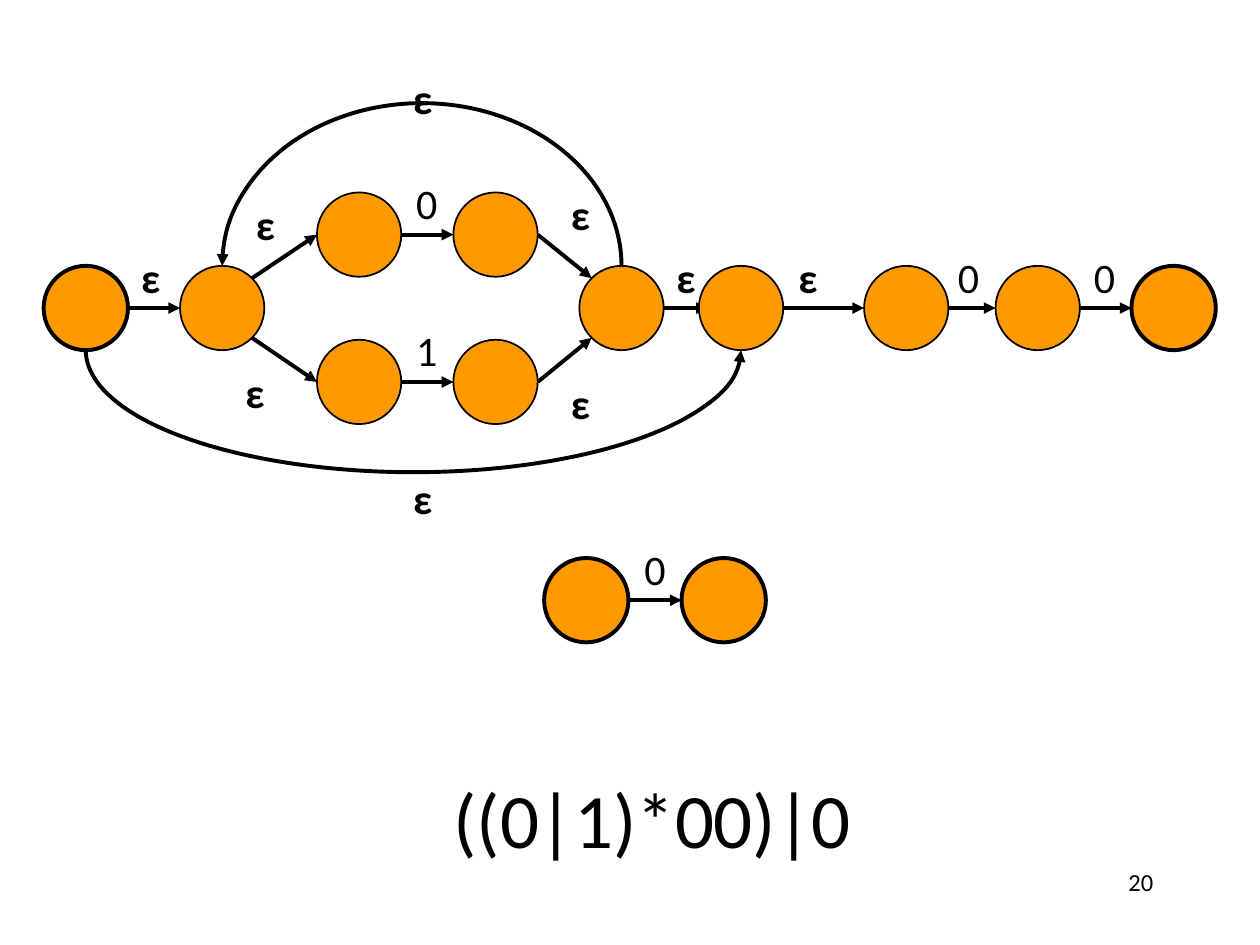
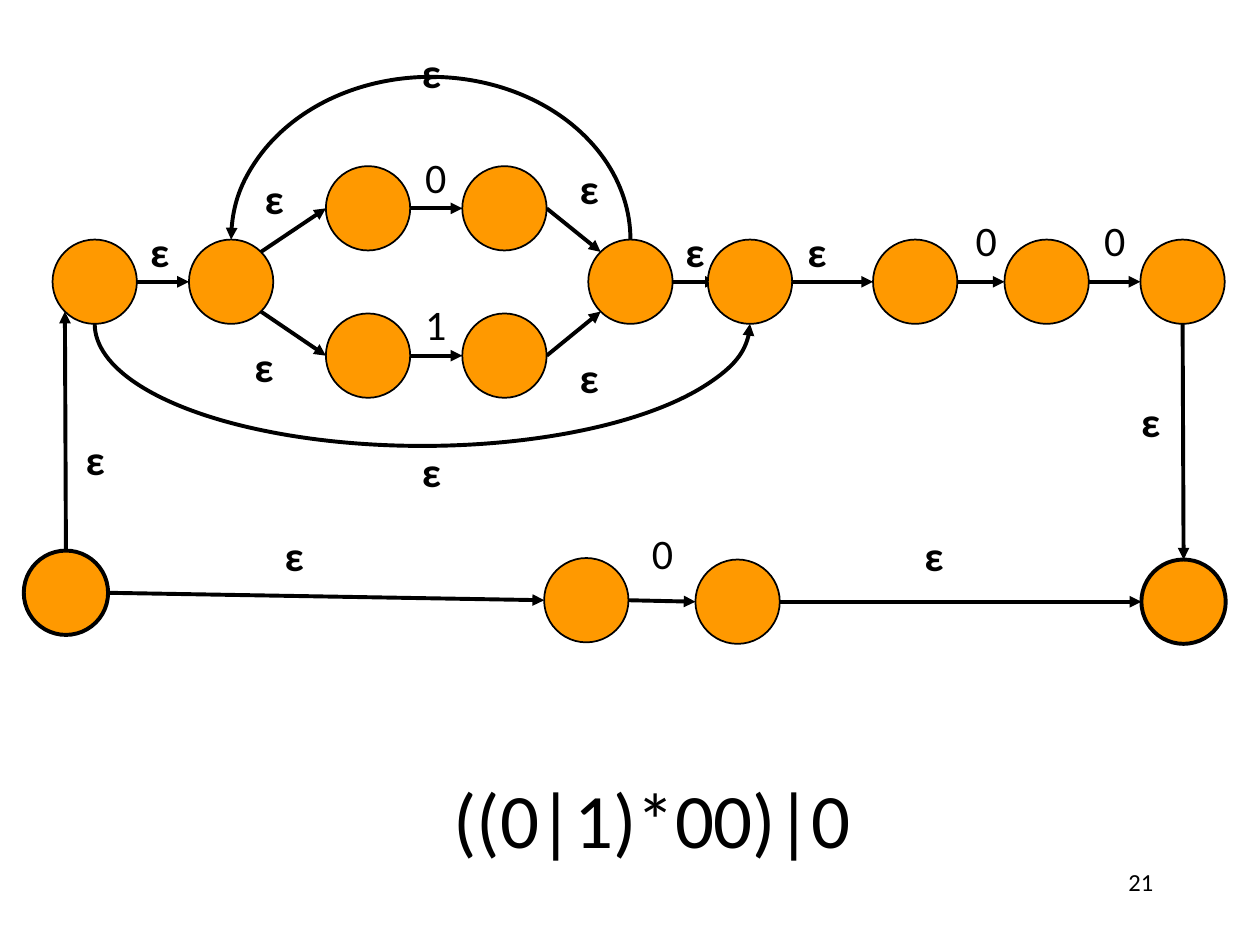
from collections import namedtuple
from math import cos, radians, sin

from lxml import etree
from pptx import Presentation
from pptx.dml.color import RGBColor
from pptx.enum.shapes import MSO_CONNECTOR, MSO_SHAPE
from pptx.enum.text import PP_ALIGN
from pptx.oxml.ns import qn
from pptx.util import Cm, Pt

BLACK = RGBColor(0, 0, 0)
ORANGE = RGBColor(0xFF, 0x99, 0x00)
FONT = "Calibri"
CIRCLE, ARC = MSO_SHAPE.FLOWCHART_CONNECTOR, MSO_SHAPE.ARC
STRAIGHT = MSO_CONNECTOR.STRAIGHT
LEFT, CENTER, RIGHT = PP_ALIGN.LEFT, PP_ALIGN.CENTER, PP_ALIGN.RIGHT

RADIUS = 0.85
THIN, THICK = Pt(1), Pt(2.25)
# Directions on a state's edge, in degrees clockwise from east
EAST, SOUTH_EAST, SOUTH, SOUTH_WEST = 0, 45, 90, 135
WEST, NORTH_WEST, NORTH, NORTH_EAST = 180, 225, 270, 315

State = namedtuple("State", "x y")


def edge_point(state, angle):
    turn = radians(angle)
    return state.x + RADIUS * cos(turn), state.y + RADIUS * sin(turn)


def add_text(page, text, left, top, width, height, size=24, bold=False,
             align=CENTER, wrap=False):
    frame = page.shapes.add_textbox(Cm(left), Cm(top), Cm(width), Cm(height)).text_frame
    frame.word_wrap = wrap
    para = frame.paragraphs[0]
    para.alignment = align
    span = para.add_run()
    span.text = text
    span.font.name = FONT
    span.font.size = Pt(size)
    span.font.bold = bold
    span.font.color.rgb = BLACK


def add_label(page, text, x, y):
    """Write a transition symbol centred on x, y."""
    width, height = 0.92, 1.27
    add_text(page, text, x - width / 2, y - height / 2, width, height, bold=text == "ε")


def add_state(page, state, terminal=False):
    circle = page.shapes.add_shape(CIRCLE, Cm(state.x - RADIUS), Cm(state.y - RADIUS),
                                   Cm(2 * RADIUS), Cm(2 * RADIUS))
    circle.shadow.inherit = False
    circle.fill.solid()
    circle.fill.fore_color.rgb = ORANGE
    circle.line.color.rgb = BLACK
    circle.line.width = THICK if terminal else THIN


def style_arrow(shape, arrow_end):
    """Make a thick black line with a triangle at headEnd or tailEnd."""
    shape.line.color.rgb = BLACK
    shape.line.width = THICK
    outline = shape.line._get_or_add_ln()
    etree.SubElement(outline, qn(f"a:{arrow_end}"), type="triangle")


def add_arrow(page, source, target, leave=EAST, enter=WEST, overlap=0):
    start_x, start_y = edge_point(source, leave)
    end_x, end_y = edge_point(target, enter)
    arrow = page.shapes.add_connector(STRAIGHT, Cm(start_x), Cm(start_y),
                                      Cm(end_x + overlap), Cm(end_y))
    style_arrow(arrow, "tailEnd")
    etree.SubElement(arrow._element.spPr, qn("a:effectLst"))


def add_arc(page, first, last, side, rise):
    """Draw a half ellipse above (NORTH) or below (SOUTH) two states."""
    left, middle = edge_point(first, side)
    right, _ = edge_point(last, side)
    arc = page.shapes.add_shape(ARC, Cm(left), Cm(middle - rise),
                                Cm(right - left), Cm(2 * rise))
    arc.shadow.inherit = False
    arc.fill.background()
    start, end = (WEST, EAST) if side == NORTH else (EAST, WEST)
    arc.adjustments[0] = start * 0.6
    arc.adjustments[1] = end * 0.6
    style_arrow(arc, "headEnd")


def add_sequence_machine(page, dx=0, dy=0, zero_labels=(), terminal=False):
    """Draw (0|1)*00 and return its first and last state."""
    def place(x, y):
        return State(x + dx, y + dy)

    row, upper, lower = 6.21, 4.73, 7.7
    start, split, join, loop_end, before, between, final = (
        place(x, row) for x in (1.73, 4.48, 12.53, 14.94, 18.27, 20.92, 23.66))
    zero_from, zero_to = place(7.24, upper), place(9.99, upper)
    one_from, one_to = place(7.24, lower), place(9.99, lower)

    for source, target in ((start, split), (zero_from, zero_to), (one_from, one_to),
                           (loop_end, before), (before, between), (between, final)):
        add_arrow(page, source, target)
    add_arrow(page, join, loop_end, overlap=0.18)
    add_arrow(page, split, zero_from, leave=NORTH_EAST)
    add_arrow(page, split, one_from, leave=SOUTH_EAST)
    add_arrow(page, zero_to, join, enter=NORTH_WEST)
    add_arrow(page, one_to, join, enter=SOUTH_WEST)
    add_arc(page, split, join, NORTH, 3.28)
    add_arc(page, start, loop_end, SOUTH, 2.46)

    for state in (split, zero_from, zero_to, one_from, one_to,
                  join, loop_end, before, between):
        add_state(page, state)
    for state in (start, final):
        add_state(page, state, terminal)

    labels = [("0", 8.6, 4.09), ("1", 8.6, 7.06)]
    labels += [("ε", x, 5.59) for x in (3.04, 13.83, 16.29)]
    labels += [("ε", 5.35, 4.52), ("ε", 5.14, 7.9), ("ε", 11.7, 4.32),
               ("ε", 11.7, 8.13), ("ε", 8.52, 1.98), ("ε", 8.52, 10.03)]
    labels += [("0", x, y) for x, y in zero_labels]
    for text, x, y in labels:
        add_label(page, text, x + dx, y + dy)
    return start, final


def add_page(deck, number):
    page = deck.slides.add_slide(deck.slide_layouts[6])
    add_text(page, str(number), 18.2, 17.35, 5.3, 1.27, size=14, align=RIGHT, wrap=True)
    add_text(page, "((0|1)*00)|0", 8.89, 15.42, 8.8, 2.13, size=44, align=LEFT, wrap=True)
    return page


def build_separate_machines(deck):
    page = add_page(deck, 20)
    add_sequence_machine(page, zero_labels=((19.52, 5.59), (22.26, 5.59)), terminal=True)
    zero_from, zero_to = State(11.82, 12.1), State(14.59, 12.1)
    add_arrow(page, zero_from, zero_to)
    for state in (zero_from, zero_to):
        add_state(page, state, terminal=True)
    add_label(page, "0", 13.2, 11.46)


def build_joined_machine(deck):
    page = add_page(deck, 21)
    first, last = add_sequence_machine(page, dx=0.18, dy=-0.53,
                                       zero_labels=((19.7, 5.36), (22.29, 5.36)))
    start, accept = State(1.33, 11.95), State(23.86, 12.13)
    zero_from, zero_to = State(11.82, 12.1), State(14.87, 12.13)
    add_arrow(page, start, first, leave=NORTH, enter=SOUTH_WEST)
    add_arrow(page, last, accept, leave=SOUTH, enter=NORTH)
    for source, target in ((start, zero_from), (zero_from, zero_to), (zero_to, accept)):
        add_arrow(page, source, target)
    for state in (start, zero_from, zero_to, accept):
        add_state(page, state, terminal=state in (start, accept))
    for text, x, y in (("0", 13.35, 11.15), ("ε", 5.93, 11.18), ("ε", 18.83, 11.18),
                       ("ε", 1.92, 9.25), ("ε", 23.2, 8.48)):
        add_label(page, text, x, y)


def main():
    deck = Presentation()
    deck.slide_width, deck.slide_height = Cm(25.4), Cm(19.05)
    build_separate_machines(deck)
    build_joined_machine(deck)
    deck.save("out.pptx")


if __name__ == "__main__":
    main()
